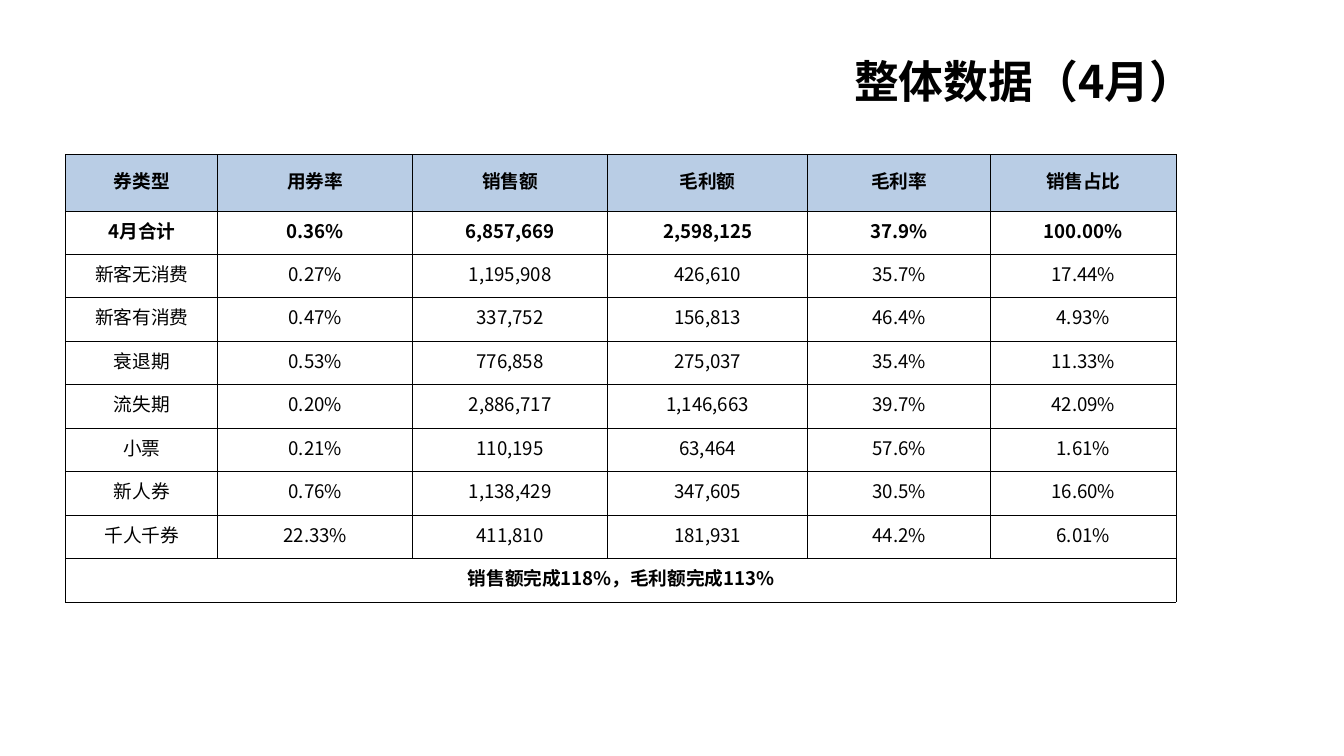
import pptx
import pptx.dml.color
import pptx.enum.text
import pptx.oxml.ns
import pptx.util
from lxml import etree
from pptx.util import Inches

FONT = "Noto Sans CJK SC"
COLUMN_WIDTHS = [1.13, 1.45, 1.45, 1.49, 1.36, 1.38]
TABLE_HEIGHT, HEADER_HEIGHT = 3.33, 0.42
HEADERS = ["券类型", "用券率", "销售额", "毛利额", "毛利率", "销售占比"]
RECORDS = [
    ["4月合计", "0.36%", "6,857,669", "2,598,125", "37.9%", "100.00%"],
    ["新客无消费", "0.27%", "1,195,908", "426,610", "35.7%", "17.44%"],
    ["新客有消费", "0.47%", "337,752", "156,813", "46.4%", "4.93%"],
    ["衰退期", "0.53%", "776,858", "275,037", "35.4%", "11.33%"],
    ["流失期", "0.20%", "2,886,717", "1,146,663", "39.7%", "42.09%"],
    ["小票", "0.21%", "110,195", "63,464", "57.6%", "1.61%"],
    ["新人券", "0.76%", "1,138,429", "347,605", "30.5%", "16.60%"],
    ["千人千券", "22.33%", "411,810", "181,931", "44.2%", "6.01%"],
]
SUMMARY = "销售额完成118%，毛利额完成113%"


def color(value):
    return pptx.dml.color.RGBColor.from_string(value)


def write_text(frame, text, size, bold):
    para = frame.paragraphs[0]
    para.text = text
    para.alignment = pptx.enum.text.PP_ALIGN.CENTER
    font = para.font
    font.size = pptx.util.Pt(size)
    font.bold = bold
    font.color.rgb = color("000000")
    font.name = FONT
    # Chinese characters take their font from the East Asian slot
    properties = para._p.pPr.find(pptx.oxml.ns.qn("a:defRPr"))
    etree.SubElement(properties, pptx.oxml.ns.qn("a:ea"), typeface=FONT)


def add_title(page, text):
    box = page.shapes.add_textbox(Inches(5.92), Inches(0.35), Inches(3.4), Inches(0.62))
    box.text_frame.word_wrap = True
    write_text(box.text_frame, text, 24, True)


def add_borders(cell, value, width):
    properties = cell._tc.get_or_add_tcPr()
    for index, side in enumerate(["lnL", "lnR", "lnT", "lnB"]):
        line = etree.Element(pptx.oxml.ns.qn(f"a:{side}"), w=str(pptx.util.Pt(width)))
        fill = etree.SubElement(line, pptx.oxml.ns.qn("a:solidFill"))
        etree.SubElement(fill, pptx.oxml.ns.qn("a:srgbClr"), val=value)
        properties.insert(index, line)


def style_cell(cell, fill=None):
    cell.vertical_anchor = pptx.enum.text.MSO_ANCHOR.MIDDLE
    cell.margin_left = cell.margin_right = cell.margin_top = Inches(0.01)
    cell.margin_bottom = Inches(0.05)
    if fill:
        cell.fill.solid()
        cell.fill.fore_color.rgb = color(fill)
    else:
        cell.fill.background()
    add_borders(cell, "000000", 0.5)


def add_coupon_table(page):
    rows = [HEADERS, *RECORDS, [SUMMARY]]
    last = len(rows) - 1
    row_height = (TABLE_HEIGHT - HEADER_HEIGHT) / last
    table = page.shapes.add_table(
        len(rows), len(HEADERS), Inches(0.49), Inches(1.15),
        Inches(sum(COLUMN_WIDTHS)), Inches(TABLE_HEIGHT)).table
    for column, width in zip(table.columns, COLUMN_WIDTHS):
        column.width = Inches(width)
    for index, row in enumerate(table.rows):
        row.height = Inches(row_height if index else HEADER_HEIGHT)

    # The last row is one cell across the table
    table.cell(last, 0).merge(table.cell(last, len(HEADERS) - 1))

    # Header, total and summary are bold
    for index, row in enumerate(table.rows):
        for cell in row.cells:
            style_cell(cell, None if index else "B9CDE5")
        for cell, value in zip(row.cells, rows[index]):
            write_text(cell.text_frame, value, 10, index in (0, 1, last))


def main():
    deck = pptx.Presentation()
    # Widescreen, 16:9
    deck.slide_width = Inches(10)
    deck.slide_height = Inches(10 * 9 / 16)
    page = deck.slides.add_slide(deck.slide_layouts[6])
    add_title(page, "整体数据（4月）")
    add_coupon_table(page)
    deck.save("out.pptx")


if __name__ == "__main__":
    main()
